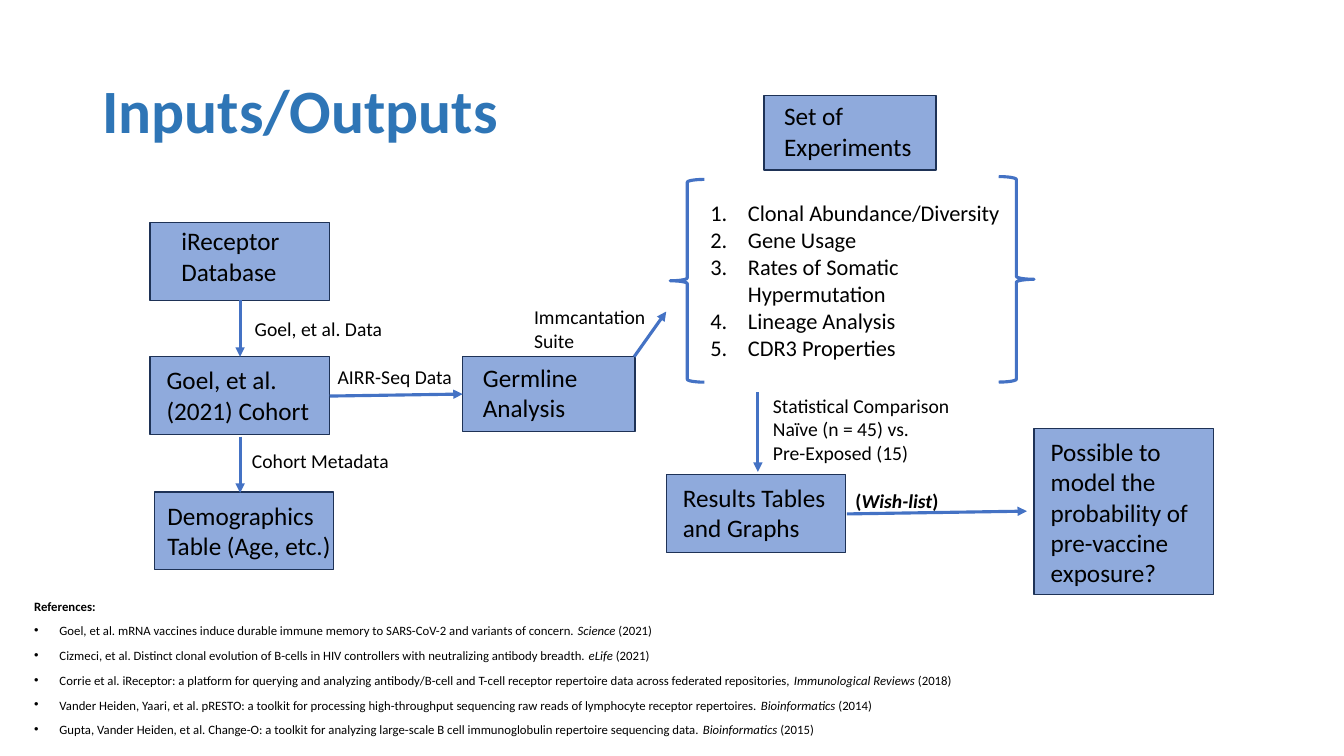
from dataclasses import dataclass

from lxml.etree import SubElement
from pptx import Presentation
from pptx.dml.color import RGBColor
from pptx.enum.shapes import MSO_CONNECTOR as Connector
from pptx.enum.shapes import MSO_SHAPE as Preset
from pptx.enum.text import MSO_ANCHOR as Anchor
from pptx.enum.text import PP_ALIGN as Align
from pptx.oxml.ns import qn
from pptx.shapes.autoshape import Shape
from pptx.slide import Slide
from pptx.text.text import TextFrame
from pptx.util import Cm, Pt

BLACK = RGBColor(0x00, 0x00, 0x00)
TITLE_BLUE = RGBColor(0x2E, 0x75, 0xB6)
BOX_FILL = RGBColor(0x8F, 0xAA, 0xDC)
BOX_BORDER = RGBColor(0x1E, 0x32, 0x56)
ARROW_BLUE = RGBColor(0x44, 0x72, 0xC4)
FONT = "Calibri"
ITALIC_MARK = "*"
BULLET = ("buChar", {"char": "•"})
NUMBER = ("buAutoNum", {"type": "arabicPeriod"})


@dataclass
class Box:
    text: str
    left: float
    top: float
    width: float = 4.52
    height: float = 1.96
    inset_left: float = 0.42
    inset_top: float = 0.2


@dataclass
class Label:
    text: str
    left: float
    top: float
    width: float = 4.27
    height: float = 0.86
    bold: bool = False


@dataclass
class Arrow:
    start_x: float
    start_y: float
    end_x: float
    end_y: float


@dataclass
class Brace:
    left: float
    top: float
    width: float
    height: float
    rotation: int = 0


BOXES = [
    Box("Goel, et al. (2021) Cohort", 3.78, 8.99),
    Box("iReceptor Database", 3.78, 5.61, inset_left=0.79, inset_top=0.08),
    Box("Germline Analysis", 11.66, 8.99, 4.34, 1.88, 0.51, 0.13),
    Box("Demographics Table (Age, etc.)", 3.89, 12.4, inset_left=0.33),
    Box("Results Tables\nand Graphs", 16.79, 11.96),
    Box("Possible to model the probability of pre-vaccine exposure?",
        26.06, 10.8, height=4.19),
    Box("Set of Experiments", 19.25, 2.41, 4.34, 1.88, 0.51, 0.13),
]
LABELS = [
    Label("Goel, et al. Data", 6.17, 7.85),
    Label("AIRR-Seq Data", 8.26, 9.07),
    Label("Cohort Metadata", 6.1, 11.2),
    Label("Statistical Comparison\nNaïve (n = 45) vs.\nPre-Exposed (15)",
          19.23, 9.8, 5.11, 2.06),
    Label("(*Wish-list*)", 21.31, 12.19, 5.11, bold=True),
    Label("Immcantation Suite", 13.21, 7.57, height=1.45),
]
ARROWS = [
    Arrow(6.05, 7.57, 6.05, 8.99),
    Arrow(8.31, 9.98, 11.66, 9.93),
    Arrow(15.98, 8.99, 16.79, 7.85),
    Arrow(6.05, 11.0, 6.05, 12.42),
    Arrow(19.1, 9.88, 19.1, 11.89),
    Arrow(21.34, 12.95, 25.88, 12.88),
]
BRACES = [
    Brace(16.89, 4.52, 0.86, 5.11, 180),
    Brace(25.17, 4.45, 0.89, 5.18),
]
EXPERIMENTS = "\n".join([
    "Clonal Abundance/Diversity",
    "Gene Usage",
    "Rates of Somatic Hypermutation",
    "Lineage Analysis",
    "CDR3 Properties",
])
REFERENCES = "\n".join([
    "Goel, et al. mRNA vaccines induce durable immune memory to SARS-CoV-2 "
    "and variants of concern. *Science* (2021)",
    "Cizmeci, et al. Distinct clonal evolution of B-cells in HIV controllers "
    "with neutralizing antibody breadth. *eLife* (2021)",
    "Corrie et al. iReceptor: a platform for querying and analyzing "
    "antibody/B-cell and T-cell receptor repertoire data across federated "
    "repositories, *Immunological Reviews* (2018)",
    "Vander Heiden, Yaari, et al. pRESTO: a toolkit for processing "
    "high-throughput sequencing raw reads of lymphocyte receptor repertoires. "
    "*Bioinformatics* (2014)",
    "Gupta, Vander Heiden, et al. Change-O: a toolkit for analyzing "
    "large-scale B cell immunoglobulin repertoire sequencing data. "
    "*Bioinformatics* (2015)",
])


def write_text(frame: TextFrame, text: str, *, size: float,
               color: RGBColor = BLACK, bold: bool = False,
               line_spacing: float = 1.0, space_before: float = 0,
               marker: tuple[str, dict[str, str]] | None = None,
               indent: float = 0) -> None:
    frame.word_wrap = True
    for line in text.split("\n"):
        first = not frame.paragraphs[0].runs
        paragraph = frame.paragraphs[0] if first else frame.add_paragraph()
        paragraph.alignment = Align.LEFT
        paragraph.line_spacing = line_spacing
        paragraph.space_before = Pt(0 if first else space_before)
        if marker:
            tag, attributes = marker
            properties = paragraph._p.get_or_add_pPr()
            properties.set("marL", str(Cm(indent)))
            properties.set("indent", str(-Cm(indent)))
            SubElement(properties, qn("a:buFont"), typeface="Arial" if tag == "buChar" else FONT)
            SubElement(properties, qn(f"a:{tag}"), attributes)
        for index, part in enumerate(line.split(ITALIC_MARK)):
            if part:
                run = paragraph.add_run()
                run.text = part
                run.font.name = FONT
                run.font.size = Pt(size)
                run.font.bold = bold
                run.font.italic = index % 2 == 1
                run.font.color.rgb = color


def add_text_frame(slide: Slide, left: float, top: float,
                   width: float, height: float) -> TextFrame:
    return slide.shapes.add_textbox(
        Cm(left), Cm(top), Cm(width), Cm(height)).text_frame


def add_preset(slide: Slide, preset: Preset, item: Box | Brace,
               line_color: RGBColor, line_width: float) -> Shape:
    shape = slide.shapes.add_shape(
        preset, Cm(item.left), Cm(item.top), Cm(item.width), Cm(item.height))
    shape.shadow.inherit = False
    shape.line.color.rgb = line_color
    shape.line.width = Pt(line_width)
    return shape


def add_box(slide: Slide, box: Box) -> None:
    shape = add_preset(slide, Preset.RECTANGLE, box, BOX_BORDER, 1)
    shape.fill.solid()
    shape.fill.fore_color.rgb = BOX_FILL
    frame = shape.text_frame
    frame.vertical_anchor = Anchor.TOP
    frame.margin_left = Cm(box.inset_left)
    frame.margin_top = Cm(box.inset_top)
    frame.margin_right = frame.margin_bottom = 0
    write_text(frame, box.text, size=18)


def add_brace(slide: Slide, brace: Brace) -> None:
    shape = add_preset(slide, Preset.RIGHT_BRACE, brace, ARROW_BLUE, 2.25)
    shape.fill.background()
    shape.rotation = brace.rotation


def add_arrow(slide: Slide, arrow: Arrow) -> None:
    connector = slide.shapes.add_connector(
        Connector.STRAIGHT, Cm(arrow.start_x), Cm(arrow.start_y),
        Cm(arrow.end_x), Cm(arrow.end_y))
    connector.line.color.rgb = ARROW_BLUE
    connector.line.width = Pt(2.25)
    SubElement(connector.line._get_or_add_ln(), qn("a:tailEnd"), type="triangle")
    SubElement(connector._element.spPr, qn("a:effectLst"))


def main() -> None:
    presentation = Presentation()
    presentation.slide_width = Cm(33.87)
    presentation.slide_height = Cm(19.05)
    slide = presentation.slides.add_slide(presentation.slide_layouts[6])

    title = add_text_frame(slide, 2.33, 1.01, 29.21, 3.68)
    title.vertical_anchor = Anchor.MIDDLE
    write_text(title, "Inputs/Outputs", size=44, color=TITLE_BLUE, bold=True,
               line_spacing=0.9)

    references = add_text_frame(slide, 0.61, 15.06, 29.21, 3.68)
    write_text(references, "References:", size=9.1, bold=True, line_spacing=0.7)
    write_text(references, REFERENCES, size=9.1, line_spacing=0.7,
               space_before=10, marker=BULLET, indent=0.64)

    for box in BOXES:
        add_box(slide, box)
    for brace in BRACES:
        add_brace(slide, brace)
    for arrow in ARROWS:
        add_arrow(slide, arrow)
    for label in LABELS:
        frame = add_text_frame(slide, label.left, label.top, label.width, label.height)
        write_text(frame, label.text, size=14, bold=label.bold)

    experiments = add_text_frame(slide, 17.65, 4.9, 8.66, 5.05)
    write_text(experiments, EXPERIMENTS, size=16, marker=NUMBER, indent=0.95)

    presentation.save("out.pptx")


if __name__ == "__main__":
    main()
